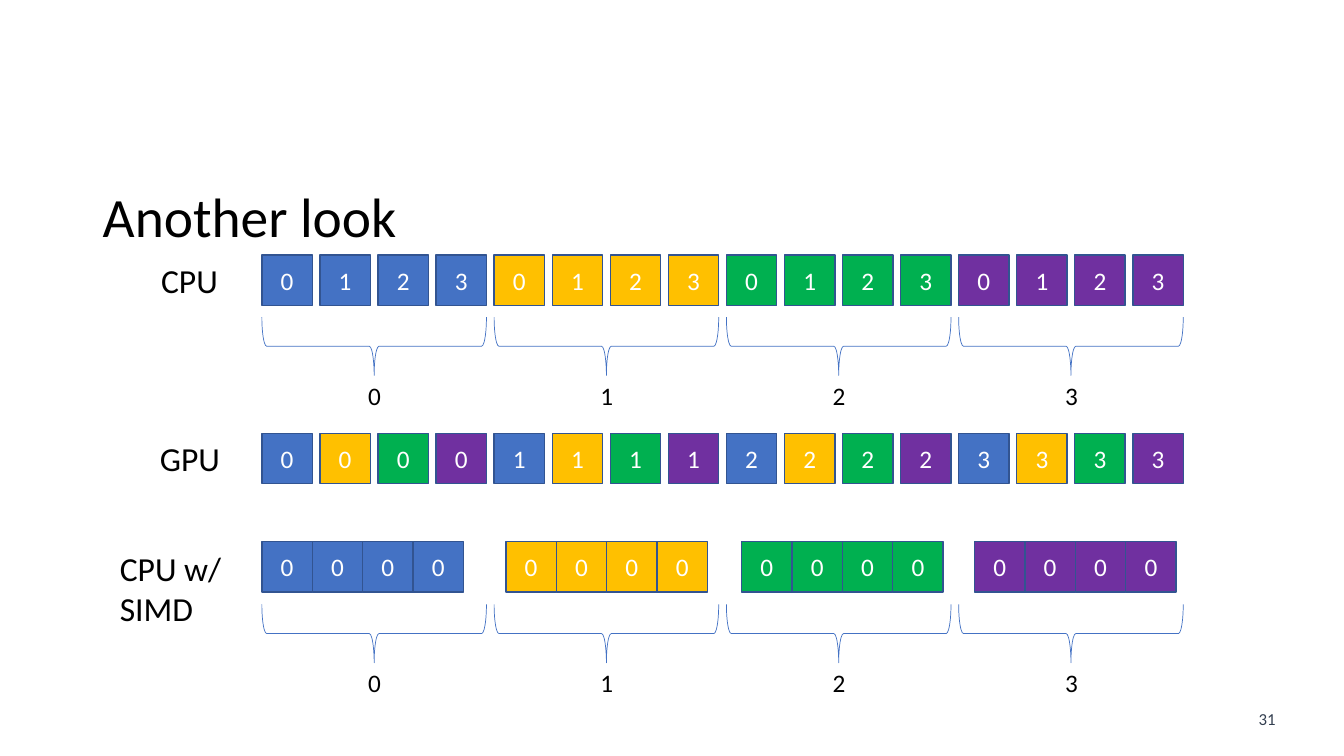
from pptx import Presentation
from pptx.dml.color import RGBColor as RGB
from pptx.enum.shapes import MSO_SHAPE as Shape
from pptx.enum.text import MSO_ANCHOR as Anchor, PP_ALIGN as Align
from pptx.util import Cm, Pt

# Content
TITLE = "Another look"
PAGE = "31"
LANES = range(4)    # work items of one thread
THREADS = range(4)  # one colour each
# Each cell is (number, thread)
CPU_CELLS = [(lane, t) for t in THREADS for lane in LANES]
GPU_CELLS = [(lane, t) for lane in LANES for t in THREADS]
SIMD_CELLS = [(0, t) for t in THREADS for _ in LANES]

THEME = {
    "font": "Calibri",
    "threads": ["4472C4", "FFC000", "00B050", "7030A0"],
    "outline": "325491", "brace": "4472C4",
    "text": "000000", "cell_text": "FFFFFF", "page": "333F50",
    "title_size": 39.6, "label_size": 24, "cell_size": 18, "page_size": 12,
}

# Layout in centimetres
LEFT = 6.6
CELL = 1.27
PITCH = 21.95 / 15
GROUP = PITCH * len(LANES)
BRACE_W, BRACE_H = GROUP - PITCH + CELL, 1.47
EVEN_LEFTS = [LEFT + i * PITCH for i in range(16)]
SIMD_STARTS = [6.6, 12.75, 18.69, 24.56]
SIMD_LEFTS = [x + lane * CELL for x in SIMD_STARTS for lane in LANES]
# label, label box, cells, cell lefts, cell top, brace top
ROWS = [
    ("CPU", (3.81, 6.43, 3.71, 1.27), CPU_CELLS, EVEN_LEFTS, 6.43, 7.99),
    ("GPU", (3.78, 10.92, 3.71, 1.27), GPU_CELLS, EVEN_LEFTS, 10.92, None),
    ("CPU w/ SIMD", (2.77, 13.67, 3.71, 2.31), SIMD_CELLS, SIMD_LEFTS, 13.65, 15.23),
]


def write(sp, text, size, color, align=Align.LEFT, anchor=Anchor.TOP):
    tf = sp.text_frame
    tf.word_wrap = True
    tf.vertical_anchor = anchor
    p = tf.paragraphs[0]
    p.text = text
    p.alignment = align
    p.font.name = THEME["font"]
    p.font.size = Pt(THEME[size])
    p.font.color.rgb = RGB.from_string(THEME[color])
    return p


def add_text(shapes, box, *args, **kwargs):
    return write(shapes.add_textbox(*map(Cm, box)), *args, **kwargs)


def add_cell(shapes, left, top, number, thread):
    sp = shapes.add_shape(Shape.RECTANGLE, Cm(left), Cm(top), Cm(CELL), Cm(CELL))
    sp.shadow.inherit = False
    sp.fill.solid()
    sp.fill.fore_color.rgb = RGB.from_string(THEME["threads"][thread])
    sp.line.color.rgb = RGB.from_string(THEME["outline"])
    sp.line.width = Pt(1)
    write(sp, str(number), "cell_size", "cell_text", Align.CENTER, Anchor.MIDDLE)


def add_brace(shapes, thread, top):
    center = LEFT + thread * GROUP + BRACE_W / 2
    # The box is turned about its centre, so its sides are swapped
    sp = shapes.add_shape(Shape.LEFT_BRACE, Cm(center - BRACE_H / 2),
                          Cm(top + BRACE_H / 2 - BRACE_W / 2), Cm(BRACE_H), Cm(BRACE_W))
    sp.rotation = 270
    sp.shadow.inherit = False
    sp.fill.background()
    sp.line.color.rgb = RGB.from_string(THEME["brace"])
    sp.line.width = Pt(0.5)
    add_text(shapes, (center - 0.4, top + BRACE_H, 0.81, 1.02),
             str(thread), "cell_size", "text")


def main():
    prs = Presentation()
    prs.slide_width, prs.slide_height = Cm(33.87), Cm(19.05)
    s = prs.slides.add_slide(prs.slide_layouts[6])

    # Title and page number
    p = add_text(s.shapes, (2.34, 4.65, 29.21, 1.78), TITLE, "title_size", "text",
                 anchor=Anchor.MIDDLE)
    p.line_spacing = 0.9
    add_text(s.shapes, (31.34, 17.73, 1.19, 0.76), PAGE, "page_size", "page", Align.CENTER)

    # One group per row: cells, braces, label
    for label, box, cells, lefts, top, brace_top in ROWS:
        shapes = s.shapes.add_group_shape().shapes
        for left, (number, thread) in zip(lefts, cells):
            add_cell(shapes, left, top, number, thread)
        if brace_top is not None:
            for thread in THREADS:
                add_brace(shapes, thread, brace_top)
        add_text(shapes, box, label, "label_size", "text")

    prs.save("out.pptx")


if __name__ == "__main__":
    main()
